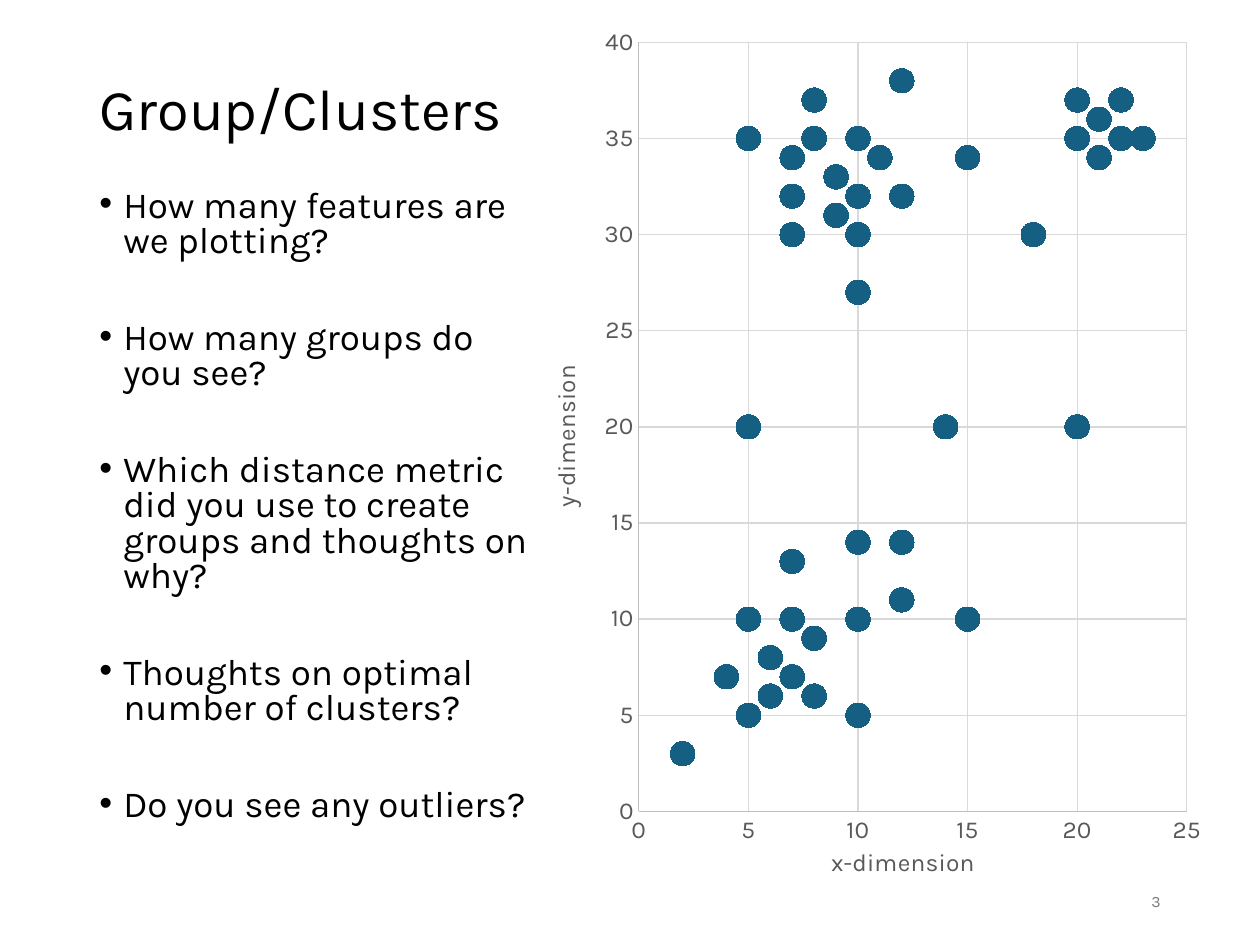
from lxml.etree import SubElement
from pptx import Presentation
from pptx.chart.data import XyChartData
from pptx.dml.color import RGBColor
from pptx.enum.chart import XL_CHART_TYPE as ChartType, XL_MARKER_STYLE as Marker, XL_TICK_MARK as Tick
from pptx.enum.shapes import MSO_SHAPE as Shape
from pptx.enum.text import MSO_ANCHOR as Anchor, PP_ALIGN as Align
from pptx.oxml import parse_xml
from pptx.oxml.ns import nsdecls, qn
from pptx.util import Inches, Pt

FONT = "Karla"
COLORS = {"text": "000000", "number": "797979", "label": "595959", "band": "FFFFFF",
          "axis": "BFBFBF", "grid": "D9D9D9", "point": "156082"}
CHART_WIDTH, CHART_HEIGHT = 6.47, 7.03
TITLE = "Group/Clusters"
QUESTIONS = [
    "How many features are we plotting?",
    "How many groups do you see?",
    "Which distance metric did you use to create groups and thoughts on why?",
    "Thoughts on optimal number of clusters?",
    "Do you see any outliers?",
]
POINTS = {
    2: [3], 4: [7], 5: [5, 10, 20, 35], 6: [6, 8],
    7: [7, 10, 13, 30, 32, 34], 8: [6, 9, 35, 37], 9: [31, 33],
    10: [5, 10, 14, 27, 30, 32, 35], 11: [34], 12: [11, 14, 32, 38],
    14: [20], 15: [10, 34], 18: [30], 20: [20, 35, 37],
    21: [34, 36], 22: [35, 37], 23: [35],
}


def color(name):
    return RGBColor.from_string(COLORS[name])


def style(font, size, name):
    font.name, font.size, font.bold = FONT, Pt(size), False
    font.color.rgb = color(name)


def draw_line(line, name):
    line.color.rgb = color(name)
    line.width = Pt(0.75)


def set_layout(parent, index, x, y, size=None):
    for old in parent.findall(qn("c:layout")):
        parent.remove(old)
    settings = {"layoutTarget": "inner"} if size else {}
    settings |= {"xMode": "edge", "yMode": "edge", "x": x / CHART_WIDTH, "y": y / CHART_HEIGHT}
    if size:
        settings |= {"w": size[0] / CHART_WIDTH, "h": size[1] / CHART_HEIGHT}
    layout = parse_xml(f"<c:layout {nsdecls('c')}><c:manualLayout/></c:layout>")
    for tag, value in settings.items():
        SubElement(layout[0], qn(f"c:{tag}")).set("val", str(value))
    parent.insert(index, layout)


def add_bullet(para):
    props = para._p.get_or_add_pPr()
    props.set("marL", str(Inches(0.19)))
    props.set("indent", str(-Inches(0.19)))
    SubElement(props, qn("a:buFont")).set("typeface", "Arial")
    SubElement(props, qn("a:buChar")).set("char", "•")


def format_axis(axis, title, maximum, x, y):
    axis.minimum_scale, axis.maximum_scale, axis.major_unit = 0, maximum, 5
    axis.major_tick_mark = axis.minor_tick_mark = Tick.NONE
    axis.has_major_gridlines = True
    draw_line(axis.major_gridlines.format.line, "grid")
    draw_line(axis.format.line, "axis")
    style(axis.tick_labels.font, 14, "label")
    frame = axis.axis_title.text_frame
    frame.text = title
    style(frame.paragraphs[0].runs[0].font, 14, "label")
    set_layout(axis.axis_title.element, 1, x, y)


deck = Presentation()
deck.slide_width, deck.slide_height = Inches(10), Inches(7.5)
page = deck.slides.add_slide(deck.slide_layouts[5])

band = page.shapes.add_shape(Shape.RECTANGLE, Inches(0), Inches(7.04), Inches(9.94), Inches(0.46))
band.shadow.inherit = False
band.fill.solid()
band.fill.fore_color.rgb = color("band")
band.line.fill.background()

data = XyChartData()
series_data = data.add_series("Series 1")
for x, values in POINTS.items():
    for y in values:
        series_data.add_data_point(x, y)
chart = page.shapes.add_chart(ChartType.XY_SCATTER, Inches(3.83), Inches(0),
                              Inches(CHART_WIDTH), Inches(CHART_HEIGHT), data).chart
chart.has_title = chart.has_legend = False
style(chart.font, 10, "text")
chart.plots[0].vary_by_categories = False
series = chart.plots[0].series[0]
series.smooth = False
series.format.line.fill.background()
series.marker.style, series.marker.size = Marker.CIRCLE, 14
series.marker.format.fill.solid()
series.marker.format.fill.fore_color.rgb = color("point")
draw_line(series.marker.format.line, "point")
format_axis(chart.category_axis, "x-dimension", 25, 2.73, 6.76)
format_axis(chart.value_axis, "y-dimension", 40, 0.5, 2.9)
rotation = chart.value_axis.axis_title.text_frame._txBody.bodyPr
rotation.set("rot", "-5400000")
rotation.set("vert", "horz")
set_layout(chart.element.find(".//" + qn("c:plotArea")), 0, 1.24, 0.34, (4.35, 6.17))

title = page.shapes.title
title.left, title.top, title.width, title.height = map(Inches, (0.69, 0.4, 8.62, 0.98))
title.text_frame.text = TITLE
title.text_frame.vertical_anchor = Anchor.MIDDLE
heading = title.text_frame.paragraphs[0]
heading.alignment, heading.line_spacing = Align.LEFT, 0.9
style(heading.runs[0].font, 33, "text")

body = page.shapes.add_textbox(Inches(0.69), Inches(1.46), Inches(3.64), Inches(5.44)).text_frame
body.word_wrap = True
body.text = "\n".join(QUESTIONS)
for index, para in enumerate(body.paragraphs):
    add_bullet(para)
    para.line_spacing = 0.8
    para.space_before = Pt(35.2 if index else 0)
    style(para.runs[0].font, 21, "text")

number = page.shapes.add_textbox(Inches(7.06), Inches(6.95), Inches(2.25), Inches(0.4)).text_frame
number.word_wrap = True
number.vertical_anchor = Anchor.MIDDLE
number.text = "3"
number.paragraphs[0].alignment = Align.RIGHT
style(number.paragraphs[0].runs[0].font, 9, "number")

deck.save("out.pptx")
